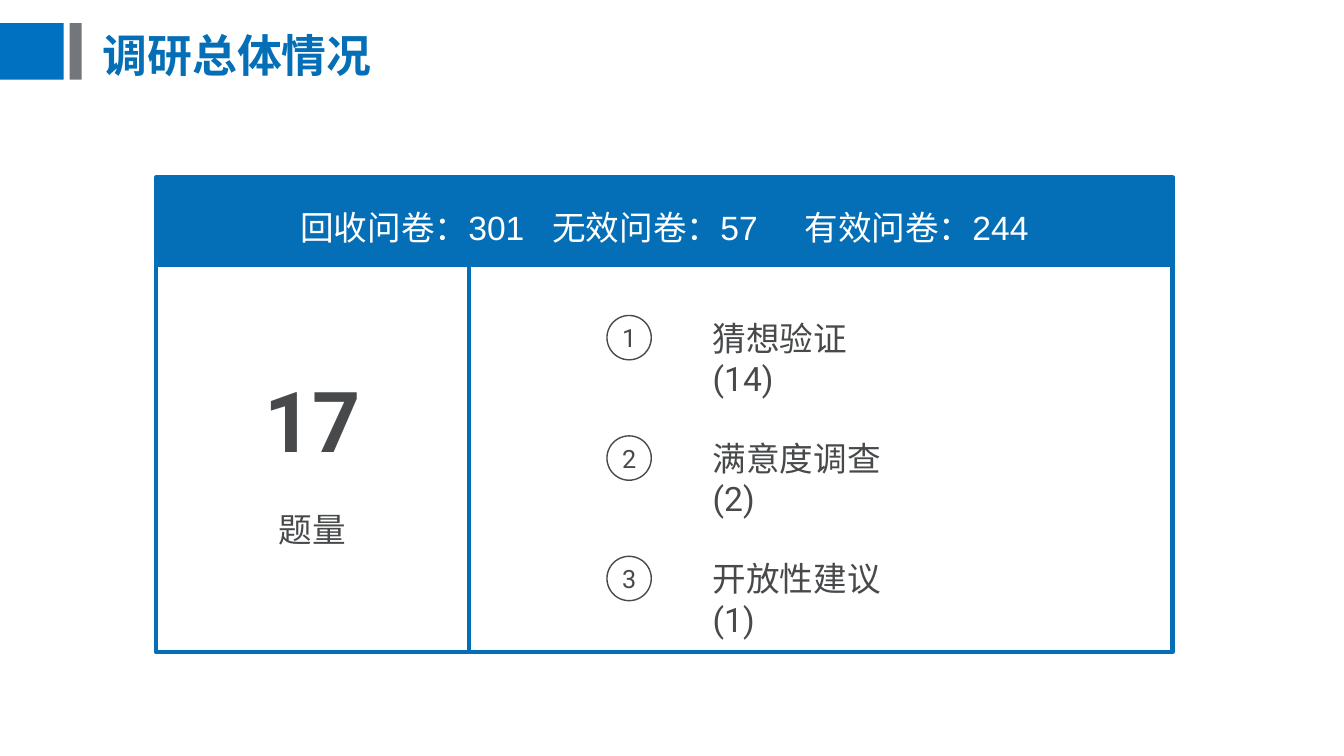
from pptx import Presentation
from pptx import util as u
from pptx.dml import color
from pptx.enum import shapes, text

COLORS = {
    "accent": "0070C0",
    "blue": "046FB6",
    "gray": "73767A",
    "ink": "47494B",
    "white": "FFFFFF",
}


def rgb(name):
    return color.RGBColor.from_string(COLORS[name])


def write(box, *lines, font="Roboto", size=24, ink="ink", align="LEFT",
          anchor="MIDDLE", spacing=None, gap=0, inset=0.1):
    frame = box.text_frame
    frame.word_wrap = True
    frame.vertical_anchor = getattr(text.MSO_ANCHOR, anchor)
    frame.margin_left = frame.margin_right = u.Inches(inset)
    frame.margin_top = frame.margin_bottom = u.Inches(inset / 2)
    for index, line in enumerate(lines):
        words, line_size, bold = line if isinstance(line, tuple) else (line, size, False)
        para = frame.add_paragraph() if index else frame.paragraphs[0]
        para.alignment = getattr(text.PP_ALIGN, align)
        if spacing:
            para.line_spacing = spacing
        if index:
            para.space_before = u.Pt(gap)
        span = para.add_run()
        span.text = words
        span.font.name = font
        span.font.size = u.Pt(line_size)
        span.font.bold = bold
        span.font.color.rgb = rgb(ink)


class Page:
    def __init__(self, deck):
        self.width = deck.slide_width
        self.height = deck.slide_height
        self.page = deck.slides.add_slide(deck.slide_layouts[6])

    def place(self, left, top, width, height):
        return [round(share * side / 100) for share, side in
                zip((left, top, width, height), (self.width, self.height) * 2)]

    def shape(self, kind, *area, fill=None, line=None, weight=3):
        box = self.page.shapes.add_shape(
            getattr(shapes.MSO_SHAPE, kind), *self.place(*area))
        box.shadow.inherit = False
        if fill:
            box.fill.solid()
            box.fill.fore_color.rgb = rgb(fill)
        else:
            box.fill.background()
        if line:
            box.line.color.rgb = rgb(line)
            box.line.width = u.Pt(weight)
        else:
            box.line.fill.background()
        return box

    def label(self, *area):
        return self.page.shapes.add_textbox(*self.place(*area))


def main():
    deck = Presentation()
    deck.slide_width = u.Inches(13.33)
    deck.slide_height = u.Inches(7.5)
    page = Page(deck)

    page.shape("RECTANGLE", 0, 3.07, 4.73, 7.47, fill="accent")
    page.shape("RECTANGLE", 5.18, 3.07, 0.9, 7.47, fill="gray")
    title = page.label(6.9, 1.87, 85.15, 11.6)
    write(title, ("调研总体情况", 32, True), font="Arial", ink="blue", spacing=0.9)

    left, split, right = 11.63, 34.88, 87.25
    top, body, body_height = 23.47, 35.07, 51.2
    count = page.shape("RECTANGLE", left, body, split - left, body_height, line="blue")
    write(count, ("17", 60, True), "题量", align="CENTER", gap=28)
    page.shape("RECTANGLE", split, body, right - split, body_height, line="blue")
    header = page.shape("RECTANGLE", left, top, right - left, body - top,
                        fill="blue", line="blue")
    write(header, "回收问卷：301\t无效问卷：57\t有效问卷：244",
          font="Arial", ink="white", align="CENTER", spacing=1.3)

    topics = ["猜想验证(14)", "满意度调查(2)", "开放性建议(1)"]
    for index, topic in enumerate(topics):
        offset = index * 15.93
        badge = page.shape("OVAL", 45.16, 41.73 + offset, 3.3, 5.87,
                           line="ink", weight=1)
        write(badge, str(index + 1), size=18, align="CENTER", inset=0)
        write(page.label(52.29, 41.33 + offset, 15, 6.67), topic, anchor="TOP")

    deck.save("out.pptx")


if __name__ == "__main__":
    main()
